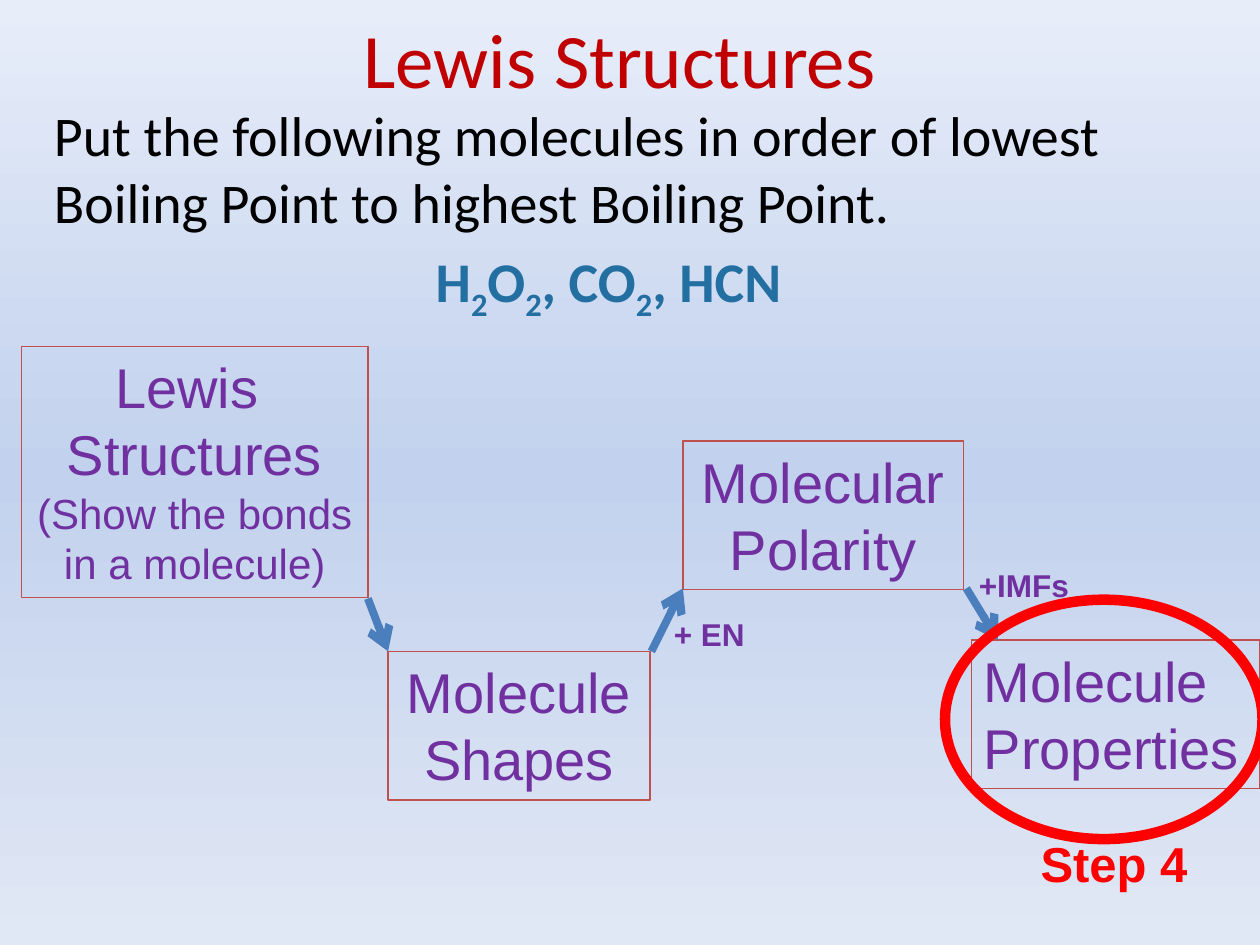
from dataclasses import dataclass

from lxml import etree
from pptx import Presentation
from pptx.dml.color import RGBColor
from pptx.enum.shapes import MSO_CONNECTOR, MSO_SHAPE
from pptx.enum.text import MSO_ANCHOR, MSO_AUTO_SIZE, PP_ALIGN
from pptx.oxml.ns import qn
from pptx.util import Inches, Pt

LEFT, CENTER = PP_ALIGN.LEFT, PP_ALIGN.CENTER
TOP, MIDDLE = MSO_ANCHOR.TOP, MSO_ANCHOR.MIDDLE
FIT, FIXED = MSO_AUTO_SIZE.SHAPE_TO_FIT_TEXT, MSO_AUTO_SIZE.NONE
RECTANGLE, OVAL = MSO_SHAPE.RECTANGLE, MSO_SHAPE.OVAL
STRAIGHT = MSO_CONNECTOR.STRAIGHT


@dataclass(frozen=True)
class Theme:
    heading_font: str = "Calibri"
    diagram_font: str = "Arial"
    title: str = "C00000"
    body: str = "000000"
    formula: str = "236FA1"
    step: str = "7030A0"
    box_line: str = "C0504D"
    arrow: str = "4B7EBC"
    highlight: str = "FF0000"
    background: tuple = ((0, "E7EDF9"), (50, "C2D1ED"), (100, "E1E8F5"))
    title_size: float = 44
    main_size: float = 32
    callout_size: float = 28
    detail_size: float = 24
    label_size: float = 18


class SlideBuilder:
    def __init__(self, slide, theme):
        self.slide = slide
        self.theme = theme

    def background(self):
        """Fill the slide with a gradient running from top to bottom."""
        fill = self.slide.background.fill
        fill.gradient()
        fill.gradient_angle = 270
        stops = fill.gradient_stops
        stop_list = self.slide._element.find(".//" + qn("a:gsLst"))
        for stop in list(stop_list):
            stop_list.remove(stop)
        for percent, color in self.theme.background:
            stop = etree.SubElement(stop_list, qn("a:gs"), pos=str(percent * 1000))
            etree.SubElement(stop, qn("a:srgbClr"), val=color)

    def runs(self, paragraph, pieces, font, size, color, bold=False, align=LEFT):
        """Add (text, is_subscript) pieces to a paragraph."""
        paragraph.alignment = align
        for text, subscript in pieces:
            run = paragraph.add_run()
            run.text = text
            run.font.name = font
            run.font.size = Pt(size)
            run.font.bold = bold
            run.font.color.rgb = RGBColor.from_string(color)
            if subscript:
                run._r.get_or_add_rPr().set("baseline", "-25000")

    def text_frame(self, left, top, width, height, wrap=True, anchor=TOP, fit=FIXED):
        box = self.slide.shapes.add_textbox(
            Inches(left), Inches(top), Inches(width), Inches(height))
        frame = box.text_frame
        frame.word_wrap = wrap
        frame.vertical_anchor = anchor
        frame.auto_size = fit
        return frame

    def title(self, text, *place):
        t = self.theme
        frame = self.text_frame(*place, anchor=MIDDLE)
        self.runs(frame.paragraphs[0], [(text, False)], t.heading_font,
                  t.title_size, t.title, align=CENTER)

    def question(self, text, formula, *place):
        t = self.theme
        frame = self.text_frame(*place)
        self.runs(frame.paragraphs[0], [(text, False)], t.heading_font,
                  t.main_size, t.body)
        molecules = frame.add_paragraph()
        molecules.space_before = Pt(t.main_size * 0.2)
        self.runs(molecules, formula, t.heading_font, t.main_size, t.formula,
                  bold=True, align=CENTER)

    def label(self, text, size, color, *place):
        frame = self.text_frame(*place, wrap=False, fit=FIT)
        self.runs(frame.paragraphs[0], [(text, False)], self.theme.diagram_font,
                  size, color, bold=True)

    def outline(self, preset, color, weight, left, top, width, height):
        shape = self.slide.shapes.add_shape(
            preset, Inches(left), Inches(top), Inches(width), Inches(height))
        shape.shadow.inherit = False
        shape.fill.background()
        shape.line.color.rgb = RGBColor.from_string(color)
        shape.line.width = Pt(weight)
        return shape

    def step_box(self, lines, place, align=CENTER):
        t = self.theme
        frame = self.outline(RECTANGLE, t.box_line, 0.75, *place).text_frame
        frame.word_wrap = True
        frame.vertical_anchor = TOP
        frame.auto_size = FIT
        for index, (text, size) in enumerate(lines):
            paragraph = frame.add_paragraph() if index else frame.paragraphs[0]
            self.runs(paragraph, [(text, False)], t.diagram_font, size, t.step,
                      align=align)

    def arrow(self, x1, y1, x2, y2):
        line = self.slide.shapes.add_connector(
            STRAIGHT, Inches(x1), Inches(y1), Inches(x2), Inches(y2))
        line.line.color.rgb = RGBColor.from_string(self.theme.arrow)
        line.line.width = Pt(4.5)
        etree.SubElement(line.line._get_or_add_ln(), qn("a:tailEnd"), type="arrow")
        etree.SubElement(line._element.spPr, qn("a:effectLst"))


def main():
    presentation = Presentation()
    presentation.slide_width = Inches(10)
    presentation.slide_height = Inches(7.5)
    slide = presentation.slides.add_slide(presentation.slide_layouts[6])
    theme = Theme()
    builder = SlideBuilder(slide, theme)
    main_size = theme.main_size

    builder.background()
    builder.title("Lewis Structures", 0.42, 0, 9, 0.92)

    steps = (
        ([("Lewis ", main_size), ("Structures", main_size),
          ("(Show the bonds in a molecule)", theme.detail_size)],
         (0.17, 2.75, 2.75, 1.99), CENTER),
        ([("Molecule", main_size), ("Shapes", main_size)],
         (3.08, 5.17, 2.08, 1.18), CENTER),
        ([("Molecular", main_size), ("Polarity", main_size)],
         (5.42, 3.5, 2.23, 1.18), CENTER),
        ([("Molecule", main_size), ("Properties", main_size)],
         (7.71, 5.08, 2.29, 1.18), LEFT),
    )
    for lines, place, align in steps:
        builder.step_box(lines, place, align)

    for ends in ((2.92, 4.75, 3.08, 5.17), (7.67, 4.67, 7.92, 5.08),
                 (5.17, 5.17, 5.42, 4.67)):
        builder.arrow(*ends)

    builder.label("+ EN", theme.label_size, theme.step, 5.25, 4.83, 0.77, 0.4)
    builder.question(
        "Put the following molecules in order of lowest Boiling Point "
        "to highest Boiling Point.",
        [("H", False), ("2", True), ("O", False), ("2", True),
         (", CO", False), ("2", True), (", HCN", False)],
        0.33, 0.75, 9, 5.58)
    builder.outline(OVAL, theme.highlight, 6, 7.5, 4.76, 2.52, 1.9)
    builder.label("Step 4", theme.callout_size, theme.highlight,
                  8.16, 6.57, 1.38, 0.57)
    builder.label("+IMFs", theme.label_size, theme.step, 7.67, 4.44, 0.92, 0.4)

    presentation.save("out.pptx")


if __name__ == "__main__":
    main()
